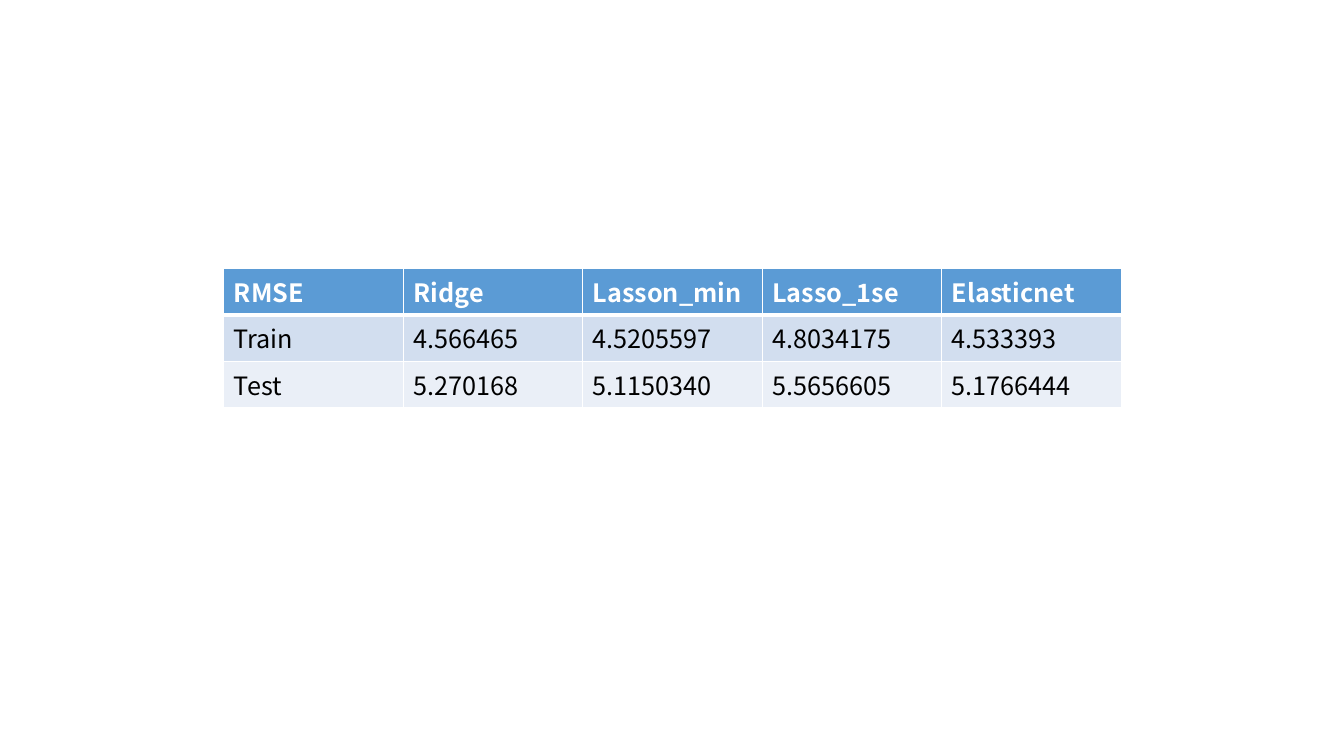
from lxml import etree
from pptx import Presentation
from pptx.dml.color import RGBColor
from pptx.oxml.ns import qn
from pptx.util import Inches, Pt

WHITE = RGBColor(0xFF, 0xFF, 0xFF)
BLACK = RGBColor(0, 0, 0)
BLUE = RGBColor(0x5B, 0x9B, 0xD5)
PALE = RGBColor(0xD2, 0xDE, 0xEF)
LIGHT = RGBColor(0xEA, 0xEF, 0xF7)
FILLS = [BLUE, PALE, LIGHT]
FONT = {"name": "Noto Sans CJK KR", "size": Pt(18)}
ROWS = [
    ["RMSE", "Ridge", "Lasson_min", "Lasso_1se", "Elasticnet"],
    ["Train", "4.566465", "4.5205597", "4.8034175", "4.533393"],
    ["Test", "5.270168", "5.1150340", "5.5656605", "5.1766444"],
]


def add_edge(cell, side, width, place):
    line = etree.Element(qn("a:" + side), w=str(Pt(width)))
    fill = etree.SubElement(line, qn("a:solidFill"))
    etree.SubElement(fill, qn("a:srgbClr"), val=str(WHITE))
    cell._tc.get_or_add_tcPr().insert(place, line)


deck = Presentation()
deck.slide_width = Inches(13.33)
deck.slide_height = Inches(7.5)
slide = deck.slides.add_slide(deck.slide_layouts[6])

frame = slide.shapes.add_table(
    len(ROWS), len(ROWS[0]), Inches(2.22), Inches(2.66), Inches(8.89), Inches(1.22)
)
table = frame.table
for col in table.columns:
    col.width = Inches(1.78)

for r, row in enumerate(ROWS):
    table.rows[r].height = Inches(0.41)
    head = r == 0
    form = {**FONT, "bold": head}
    edges = {"lnL": 1, "lnR": 1, "lnT": 3 if r == 1 else 1, "lnB": 3 if head else 1}
    for c, text in enumerate(row):
        cell = table.cell(r, c)
        cell.fill.solid()
        cell.fill.fore_color.rgb = FILLS[r]
        run = cell.text_frame.paragraphs[0].add_run()
        run.text = text
        for key, value in form.items():
            setattr(run.font, key, value)
        run.font.color.rgb = WHITE if head else BLACK
        for place, (side, width) in enumerate(edges.items()):
            add_edge(cell, side, width, place)

deck.save("out.pptx")
